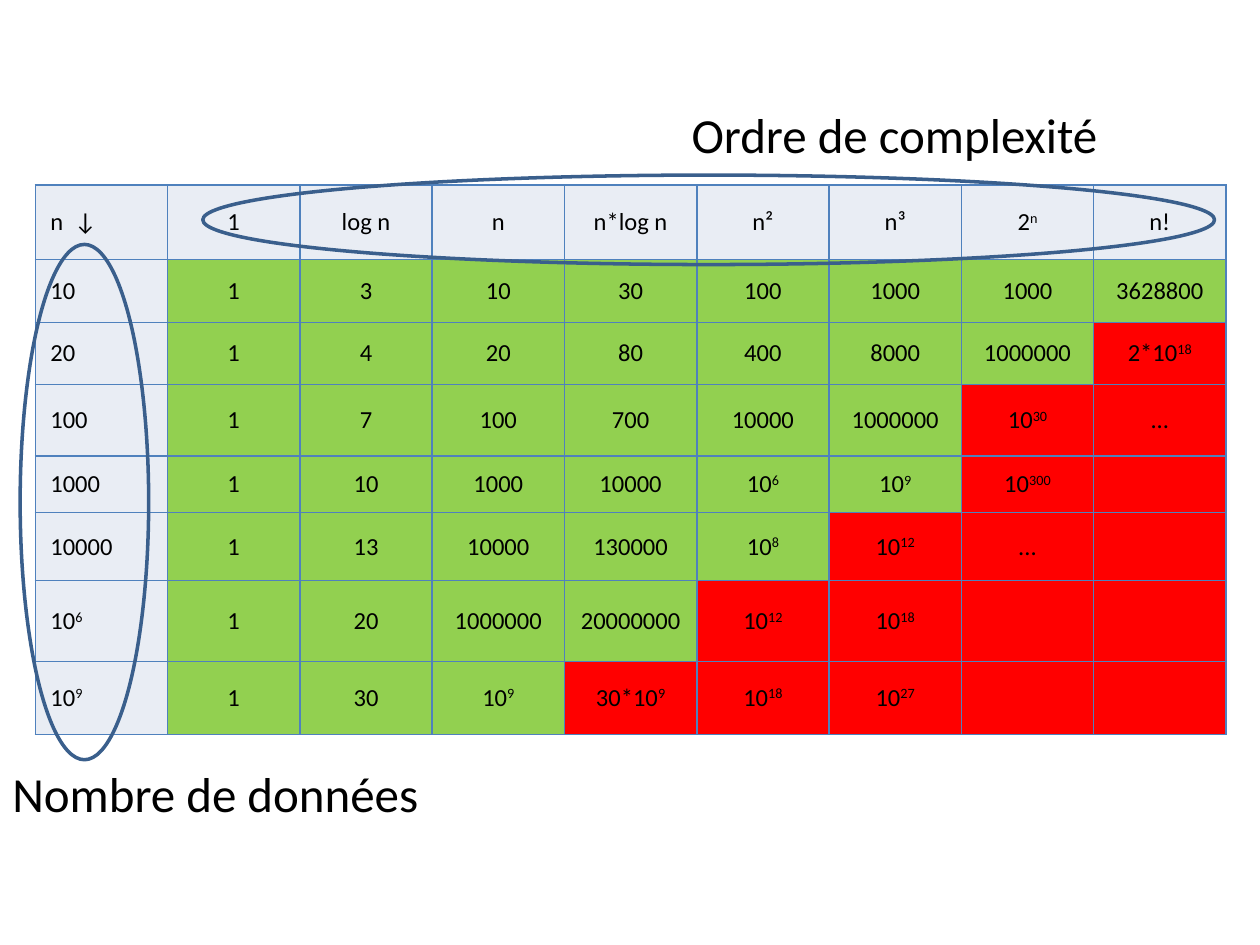
from dataclasses import dataclass

from lxml.etree import SubElement
from pptx import Presentation
from pptx.dml.color import RGBColor
from pptx.enum.shapes import MSO_SHAPE
from pptx.enum.text import MSO_ANCHOR, MSO_AUTO_SIZE, PP_ALIGN
from pptx.oxml.ns import qn
from pptx.util import Inches, Pt

SLIDE_WIDTH = Inches(10)
SLIDE_HEIGHT = Inches(7.5)
FONT_NAME = "Calibri"
BLACK = RGBColor(0x00, 0x00, 0x00)
HEADER_FILL = RGBColor(0xE9, 0xED, 0xF4)
FEASIBLE_FILL = RGBColor(0x92, 0xD0, 0x50)
INFEASIBLE_FILL = RGBColor(0xFF, 0x00, 0x00)
BORDER_COLOR = RGBColor(0x4F, 0x81, 0xBD)
OUTLINE_COLOR = RGBColor(0x3A, 0x5F, 0x8C)


@dataclass(frozen=True)
class Box:
    """A rectangle in percent of the slide's width and height."""
    left: float
    top: float
    width: float
    height: float

    def lengths(self) -> tuple[int, int, int, int]:
        return (int(SLIDE_WIDTH * self.left / 100), int(SLIDE_HEIGHT * self.top / 100),
                int(SLIDE_WIDTH * self.width / 100), int(SLIDE_HEIGHT * self.height / 100))


@dataclass(frozen=True)
class Row:
    """A table row; "^" starts an exponent, feasible counts the green cells."""
    height: float
    feasible: int
    texts: str


@dataclass(frozen=True)
class Annotation:
    text: str
    label_box: Box
    ellipse_box: Box


HEADERS = ("n  ↓", "1", "log n", "n", "n*log n", "n²", "n³", "2^n", "n!")
HEADER_HEIGHT = 0.59
ROWS = (
    Row(0.50, 8, "10 1 3 10 30 100 1000 1000 3628800"),
    Row(0.49, 7, "20 1 4 20 80 400 8000 1000000 2*10^18"),
    Row(0.57, 6, "100 1 7 100 700 10000 1000000 10^30 ..."),
    Row(0.45, 6, "1000 1 10 1000 10000 10^6 10^9 10^300"),
    Row(0.54, 5, "10000 1 13 10000 130000 10^8 10^12 ..."),
    Row(0.64, 4, "10^6 1 20 1000000 20000000 10^12 10^18"),
    Row(0.58, 3, "10^9 1 30 10^9 30*10^9 10^18 10^27"),
)
TABLE_BOX = Box(2.8, 19.6, 94.5, 58.13)
ANNOTATIONS = (
    Annotation("Ordre de complexité", Box(53.9, 10.4, 34.6, 7.6), Box(16.1, 18.53, 80.3, 9.47)),
    Annotation("Nombre de données", Box(0, 80.13, 34.6, 7.6), Box(1.6, 25.87, 10.2, 54.53)),
)


def add_run(paragraph, text: str, size: int, superscript: bool = False) -> None:
    run = paragraph.add_run()
    run.text = text
    run.font.name = FONT_NAME
    run.font.size = Pt(size)
    run.font.color.rgb = BLACK
    if superscript:
        run.font._element.set("baseline", "30000")


def add_borders(cell) -> None:
    properties = cell._tc.get_or_add_tcPr()
    for side in ("a:lnL", "a:lnR", "a:lnT", "a:lnB"):
        line = SubElement(properties, qn(side), w=str(Pt(1)))
        fill = SubElement(line, qn("a:solidFill"))
        SubElement(fill, qn("a:srgbClr"), val=str(BORDER_COLOR))


def format_cell(cell, text: str, color: RGBColor, centered: bool) -> None:
    add_borders(cell)
    cell.fill.solid()
    cell.fill.fore_color.rgb = color
    cell.vertical_anchor = MSO_ANCHOR.MIDDLE
    cell.margin_left = cell.margin_right = Inches(0.12)
    cell.margin_top = cell.margin_bottom = 0
    if not text:
        return
    paragraph = cell.text_frame.paragraphs[0]
    paragraph.space_after = Pt(12)
    if centered:
        paragraph.alignment = PP_ALIGN.CENTER
    base, _, exponent = text.partition("^")
    add_run(paragraph, base, 14)
    if exponent:
        add_run(paragraph, exponent, 14, superscript=True)


def fill_color(row: int, column: int) -> RGBColor:
    if row == 0 or column == 0:
        return HEADER_FILL
    return FEASIBLE_FILL if column <= ROWS[row - 1].feasible else INFEASIBLE_FILL


def add_complexity_table(slide) -> None:
    column_count = len(HEADERS)
    table = slide.shapes.add_table(len(ROWS) + 1, column_count, *TABLE_BOX.lengths()).table
    table.first_row = table.horz_banding = False
    heights = [HEADER_HEIGHT, *(row.height for row in ROWS)]
    contents = [list(HEADERS), *(row.texts.split() for row in ROWS)]
    for row, (height, texts) in enumerate(zip(heights, contents)):
        table.rows[row].height = Inches(height)
        texts += [""] * (column_count - len(texts))
        for column, text in enumerate(texts):
            format_cell(table.cell(row, column), text, fill_color(row, column), column > 0)


def add_annotation(slide, annotation: Annotation) -> None:
    ellipse = slide.shapes.add_shape(MSO_SHAPE.OVAL, *annotation.ellipse_box.lengths())
    ellipse.shadow.inherit = False
    ellipse.fill.background()
    ellipse.line.color.rgb = OUTLINE_COLOR
    ellipse.line.width = Pt(2)
    label = slide.shapes.add_textbox(*annotation.label_box.lengths())
    label.text_frame.word_wrap = False
    label.text_frame.auto_size = MSO_AUTO_SIZE.SHAPE_TO_FIT_TEXT
    add_run(label.text_frame.paragraphs[0], annotation.text, 28)


def main() -> None:
    presentation = Presentation()
    presentation.slide_width = SLIDE_WIDTH
    presentation.slide_height = SLIDE_HEIGHT
    slide = presentation.slides.add_slide(presentation.slide_layouts[6])
    add_complexity_table(slide)
    for annotation in ANNOTATIONS:
        add_annotation(slide, annotation)
    presentation.save("out.pptx")


if __name__ == "__main__":
    main()
